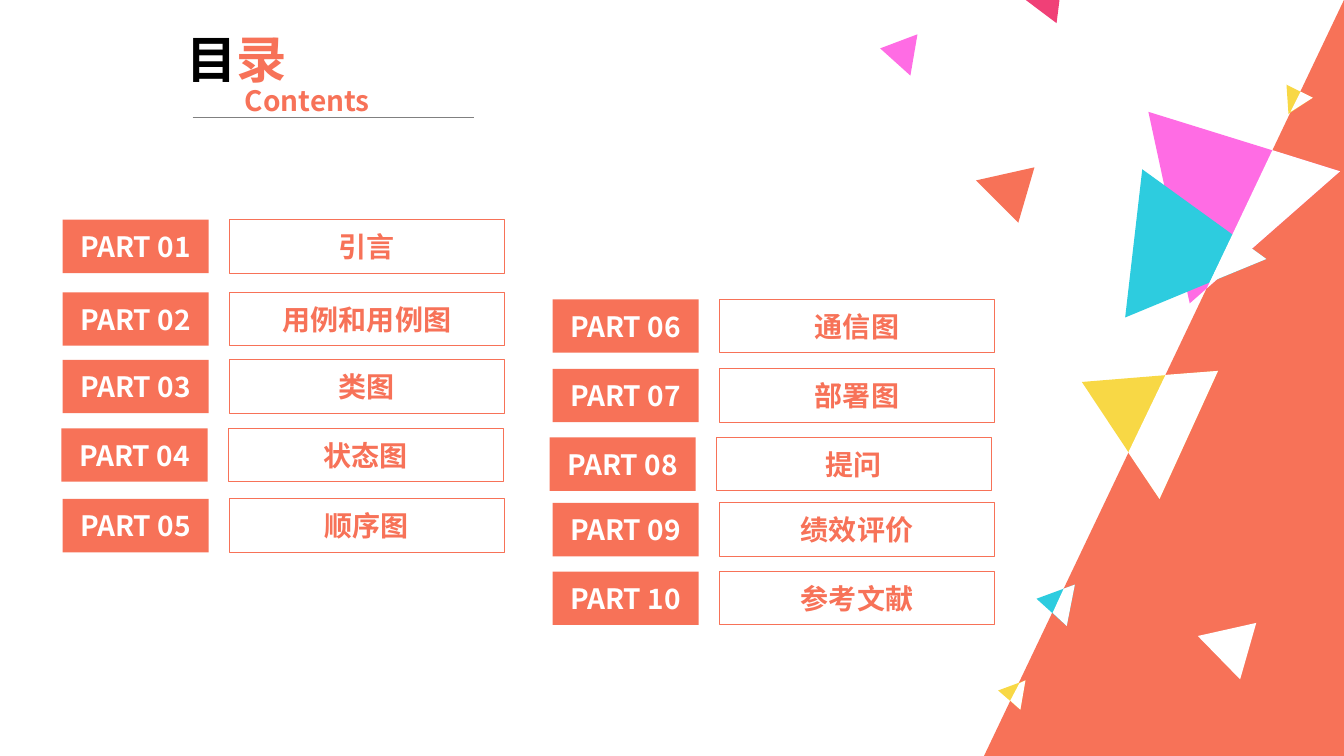
from dataclasses import dataclass

from lxml import etree
from pptx import Presentation, util as u
from pptx.dml.color import RGBColor
from pptx.enum import shapes, text
from pptx.oxml import ns

CORAL = RGBColor(0xF7, 0x72, 0x58)
PINK = RGBColor(0xFF, 0x6C, 0xE4)
CYAN = RGBColor(0x2D, 0xCC, 0xDF)
YELLOW = RGBColor(0xF8, 0xD8, 0x45)
CRIMSON = RGBColor(0xF0, 0x40, 0x77)
WHITE = RGBColor(0xFF, 0xFF, 0xFF)
BLACK = RGBColor(0, 0, 0)
GREY = RGBColor(0x80, 0x80, 0x80)
FONT = "Noto Sans CJK SC"

# The slide is a grid of 1333 columns by 750 rows with square cells.
CELL = u.Inches(0.01)
COLUMNS, ROWS = 1333, 750
BOX_ROWS = 53
LABEL_COLUMNS, TOPIC_COLUMNS = 145, 272
TOPIC_OFFSET = 166


@dataclass(frozen=True)
class Entry:
    topic: str
    left: int
    top: int


@dataclass(frozen=True)
class Shard:
    color: RGBColor
    points: tuple[tuple[int, int], ...]


ENTRIES = [
    Entry("引言", 62, 218),
    Entry("用例和用例图", 62, 290),
    Entry("类图", 62, 357),
    Entry("状态图", 61, 425),
    Entry("顺序图", 62, 495),
    Entry("通信图", 548, 297),
    Entry("部署图", 548, 366),
    Entry("提问", 545, 434),
    Entry("绩效评价", 548, 499),
    Entry("参考文献", 548, 567),
]

SHARDS = [
    Shard(CORAL, ((1026, 166), (1010, 221), (968, 179))),
    Shard(PINK, ((1180, 301), (1139, 111), (1329, 170))),
    Shard(CYAN, ((1116, 315), (1133, 168), (1256, 257))),
    Shard(CYAN, ((1028, 594), (1066, 580), (1058, 621))),
    Shard(YELLOW, ((990, 685), (1017, 675), (1012, 704))),
    Shard(YELLOW, ((1073, 379), (1208, 368), (1150, 495))),
    Shard(YELLOW, ((1278, 113), (1276, 84), (1302, 97))),
    Shard(PINK, ((873, 48), (910, 34), (903, 75))),
    Shard(CRIMSON, ((1048, 23), (1016, -1), (1053, -17))),
    Shard(WHITE, ((1246, 618), (1230, 674), (1188, 631))),
    Shard(WHITE, ((1262, 149), (1329, 170), (1197, 286))),
    Shard(WHITE, ((1223, 233), (1256, 257), (1200, 280))),
    Shard(WHITE, ((1066, 580), (1058, 621), (1044, 608), (1055, 584))),
    Shard(WHITE, ((1017, 675), (1012, 704), (1002, 695), (1011, 678))),
    Shard(WHITE, ((1208, 368), (1150, 495), (1119, 449), (1156, 372))),
    Shard(WHITE, ((1290, 91), (1302, 97), (1280, 111))),
]


def cells(*counts: int) -> list[int]:
    return [count * CELL for count in counts]


def add_run(paragraph, words: str, size: int, color: RGBColor) -> None:
    run = paragraph.add_run()
    run.text = words
    run.font.size = u.Pt(size)
    run.font.bold = True
    run.font.name = FONT
    run.font.color.rgb = color
    east_asian = etree.SubElement(run.font._element, ns.qn("a:ea"))
    east_asian.set("typeface", FONT)


def paint(shape, color: RGBColor) -> None:
    shape.shadow.inherit = False
    shape.fill.solid()
    shape.fill.fore_color.rgb = color
    shape.line.fill.background()


def add_box(slide, left: int, top: int, columns: int, words: str, filled: bool) -> None:
    """Add a coral box, either solid with white words or outlined with coral words."""
    box = slide.shapes.add_shape(
        shapes.MSO_SHAPE.RECTANGLE, *cells(left, top, columns, BOX_ROWS))
    paint(box, CORAL)
    if not filled:
        box.fill.background()
        box.line.color.rgb = CORAL
        box.line.width = u.Pt(0.75)
    box.text_frame.vertical_anchor = text.MSO_ANCHOR.MIDDLE
    paragraph = box.text_frame.paragraphs[0]
    paragraph.alignment = text.PP_ALIGN.CENTER
    add_run(paragraph, words, 20, WHITE if filled else CORAL)


def add_shard(slide, shard: Shard) -> None:
    builder = slide.shapes.build_freeform(*shard.points[0], scale=CELL)
    builder.add_line_segments(shard.points[1:], close=True)
    paint(builder.convert_to_shape(), shard.color)


def add_heading(slide) -> None:
    title = slide.shapes.title
    title.left, title.top, title.width, title.height = cells(175, 23, 157, 71)
    title.text_frame.auto_size = text.MSO_AUTO_SIZE.NONE
    title.text_frame.vertical_anchor = text.MSO_ANCHOR.TOP
    paragraph = title.text_frame.paragraphs[0]
    paragraph.alignment = text.PP_ALIGN.LEFT
    add_run(paragraph, "目", 36, BLACK)
    add_run(paragraph, "录", 36, CORAL)

    subtitle = slide.shapes.add_textbox(*cells(233, 78, 157, 44))
    subtitle.text_frame.word_wrap = True
    add_run(subtitle.text_frame.paragraphs[0], "Contents", 20, CORAL)

    rule = slide.shapes.add_connector(
        shapes.MSO_CONNECTOR.STRAIGHT, *cells(191, 116, 470, 116))
    rule.line.color.rgb = GREY
    rule.line.width = u.Pt(0.5)
    etree.SubElement(rule._element.spPr, ns.qn("a:effectLst"))


def add_backdrop(slide) -> None:
    backdrop = slide.shapes.add_shape(
        shapes.MSO_SHAPE.ISOSCELES_TRIANGLE, *cells(976, 0, COLUMNS - 976, ROWS))
    backdrop.adjustments[0] = 1
    paint(backdrop, CORAL)


def main() -> None:
    presentation = Presentation()
    presentation.slide_width, presentation.slide_height = cells(COLUMNS, ROWS)
    slide = presentation.slides.add_slide(presentation.slide_layouts[5])
    add_backdrop(slide)
    add_heading(slide)
    for shard in SHARDS:
        add_shard(slide, shard)
    for number, entry in enumerate(ENTRIES, start=1):
        add_box(slide, entry.left, entry.top, LABEL_COLUMNS, f"PART {number:02}", True)
        add_box(slide, entry.left + TOPIC_OFFSET, entry.top, TOPIC_COLUMNS,
                entry.topic, False)
    presentation.save("out.pptx")


if __name__ == "__main__":
    main()
